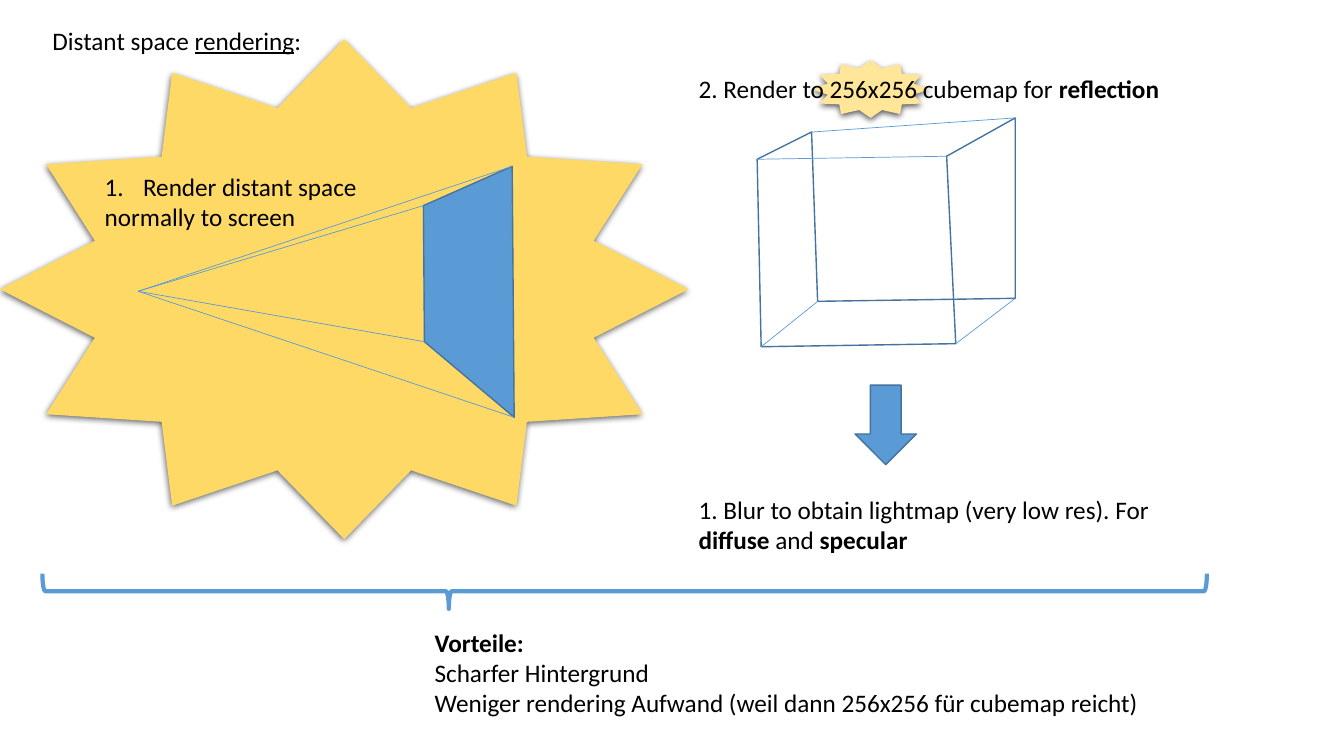
from dataclasses import dataclass

from lxml import etree
from pptx import Presentation
from pptx.dml.color import RGBColor
from pptx.enum.shapes import MSO_CONNECTOR, MSO_SHAPE
from pptx.enum.text import MSO_ANCHOR, MSO_AUTO_SIZE, PP_ALIGN
from pptx.oxml.ns import qn
from pptx.util import Inches, Pt

STAR, ARROW, BRACE = MSO_SHAPE.STAR_12_POINT, MSO_SHAPE.DOWN_ARROW, MSO_SHAPE.RIGHT_BRACE
STRAIGHT = MSO_CONNECTOR.STRAIGHT
TOP, LEFT = MSO_ANCHOR.TOP, PP_ALIGN.LEFT
GROW = MSO_AUTO_SIZE.SHAPE_TO_FIT_TEXT
TITLE_AND_CONTENT = 1


@dataclass(frozen=True)
class Theme:
    font: str = "Calibri"
    size: int = 18
    text: str = "000000"
    blue: str = "5B9BD5"
    outline: str = "43739E"
    gold: str = "FFD966"
    pale_gold: str = "FFE699"
    thin: float = 0.5
    medium: float = 1
    thick: float = 3


THEME = Theme()


def box(*lengths):
    return [Inches(v) for v in lengths]


def add_run(p, text, bold=False, underline=False):
    r = p.add_run()
    r.text = text
    f = r.font
    f.name, f.size = THEME.font, Pt(THEME.size)
    f.color.rgb = RGBColor.from_string(THEME.text)
    f.bold, f.underline = bold, underline


def write(sp, paragraphs, wrap=False):
    """Fill a shape; each paragraph is a list of (text, format) pairs."""
    tf = sp.text_frame
    tf.word_wrap, tf.auto_size, tf.vertical_anchor = wrap, GROW, TOP
    for i, runs in enumerate(paragraphs):
        p = tf.add_paragraph() if i else tf.paragraphs[0]
        p.alignment, p.space_before = LEFT, Pt(0)
        set_bullet(p, "buNone")
        for text, fmt in runs:
            add_run(p, text, **fmt)


def set_bullet(p, kind, indent=0, **attributes):
    """Replace the bullet of a paragraph and give it a hanging indent."""
    pPr = p._p.get_or_add_pPr()
    for old in pPr.findall(qn("a:buNone")):
        pPr.remove(old)
    pPr.set("marL", str(Inches(indent)))
    pPr.set("indent", str(-Inches(indent)))
    etree.SubElement(pPr, qn("a:" + kind), **attributes)


def add_text(s, at, paragraphs, wrap=False):
    sp = s.shapes.add_textbox(*box(*at))
    write(sp, paragraphs, wrap)
    return sp


def fill_placeholder(sp, at, paragraphs, wrap=False):
    sp.left, sp.top, sp.width, sp.height = box(*at)
    write(sp, paragraphs, wrap)


def paint(sp, fill=None, line=None, width=THEME.medium):
    sp.shadow.inherit = False
    if fill:
        sp.fill.solid()
        sp.fill.fore_color.rgb = RGBColor.from_string(fill)
    else:
        sp.fill.background()
    if line:
        sp.line.color.rgb = RGBColor.from_string(line)
        sp.line.width = Pt(width)
    else:
        sp.line.fill.background()


def add_star(s, at, fill):
    sp = s.shapes.add_shape(STAR, *box(*at))
    paint(sp, fill)
    effects = sp._element.spPr.find(qn("a:effectLst"))
    shadow = etree.SubElement(effects, qn("a:outerShdw"), blurRad=str(Pt(4.5)),
                              dist=str(Pt(1.5)), dir="5400000",
                              algn="ctr", rotWithShape="0")
    color = etree.SubElement(shadow, qn("a:srgbClr"), val="000000")
    etree.SubElement(color, qn("a:alpha"), val="63000")


def add_polygon(s, points, fill=None):
    start, *rest = [box(*point) for point in points]
    builder = s.shapes.build_freeform(*start)
    builder.add_line_segments(rest, close=True)
    paint(builder.convert_to_shape(), fill, THEME.outline)


def add_line(s, start, end):
    line = s.shapes.add_connector(STRAIGHT, *box(*start, *end))
    line.line.color.rgb = RGBColor.from_string(THEME.blue)
    line.line.width = Pt(THEME.thin)
    etree.SubElement(line._element.spPr, qn("a:effectLst"))


def add_frustum(s):
    eye = (1.37, 2.89)
    screen = [(4.2, 2.04), (4.21, 3.39), (5.1, 4.14), (5.08, 1.65)]
    add_polygon(s, screen, THEME.blue)
    for corner in screen:
        add_line(s, corner, eye)


def add_cube(s):
    """Draw one outline around two opposite faces, then the missing edges."""
    front = [(7.51, 1.58), (7.55, 3.44), (9.48, 3.41), (9.39, 1.55)]
    back = [(8.05, 1.31), (8.11, 2.99), (10.07, 2.96), (10.07, 1.17)]
    add_polygon(s, front + back[::-1])
    for start, end in [(back[0], back[3]), (front[0], front[3]),
                       (front[1], back[1]), (front[2], back[2])]:
        add_line(s, start, end)


def add_brace(s):
    sp = s.shapes.add_shape(BRACE, *box(6.02, 0.09, 0.35, 11.55))
    sp.rotation = 90
    sp.adjustments[0], sp.adjustments[1] = 0.083, 0.651
    paint(sp, line=THEME.blue, width=THEME.thick)


def main():
    prs = Presentation()
    prs.slide_width, prs.slide_height = box(13.33, 7.5)
    s = prs.slides.add_slide(prs.slide_layouts[TITLE_AND_CONTENT])
    plain, bold = {}, {"bold": True}

    fill_placeholder(s.shapes.title, (0.42, 0.2, 2.7, 0.4), [
        [("Distant space ", plain), ("rendering", {"underline": True}), (":", plain)]])
    fill_placeholder(s.placeholders[1], (4.21, 6.17, 7.31, 1.01), [
        [("Vorteile:", bold)],
        [("Scharfer Hintergrund", plain)],
        [("Weniger rendering Aufwand (weil dann 256x256 für cubemap reicht)", plain)],
    ], wrap=True)

    add_star(s, (8.05, 0.6, 1.17, 0.57), THEME.pale_gold)
    add_star(s, (0, 0.39, 6.83, 4.96), THEME.gold)
    add_frustum(s)
    add_cube(s)

    step = add_text(s, (0.94, 1.65, 2.72, 0.71), [
        [("Render distant space", plain)], [("normally to screen", plain)]])
    set_bullet(step.text_frame.paragraphs[0], "buAutoNum", 0.38, type="arabicPeriod")
    add_text(s, (6.83, 0.68, 4.8, 0.4), [
        [("2. Render to 256x256 cubemap for ", plain), ("reflection", bold)]])
    arrow = s.shapes.add_shape(ARROW, *box(8.48, 3.82, 0.61, 0.79))
    paint(arrow, THEME.blue, THEME.outline)
    add_text(s, (6.83, 4.85, 5.15, 0.71), [
        [("1. Blur to obtain lightmap (very low res). For ", plain), ("diffuse", bold),
         (" and ", plain), ("specular", bold)]], wrap=True)
    add_brace(s)

    prs.save("out.pptx")


if __name__ == "__main__":
    main()
